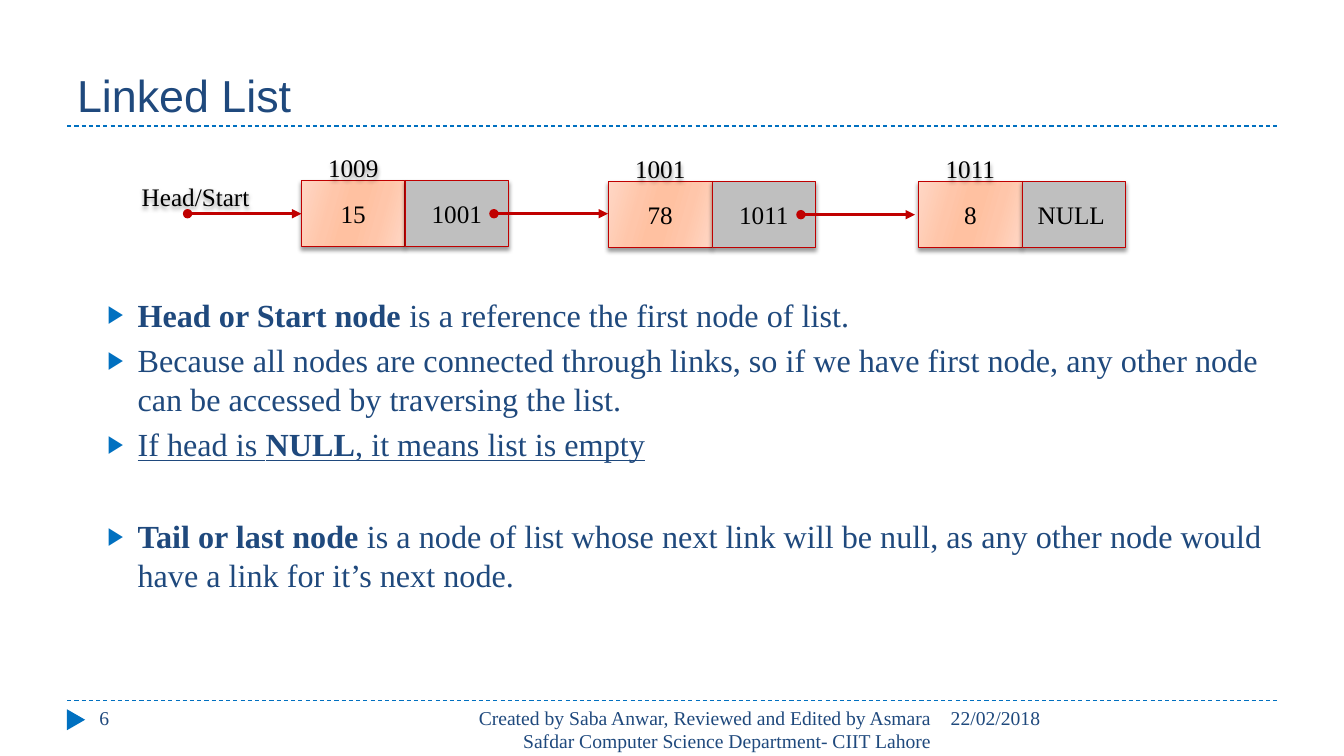
from pptx import Presentation
from pptx.dml.color import RGBColor
from pptx.enum import dml, shapes, text
from pptx.oxml import parse_xml
from pptx.oxml.ns import nsdecls, qn
from pptx.util import Pt

TITLE = "Linked List"
HEAD = "Head/Start"
NODES = [
    ("1009", "15", "1001", 215.3, 128.9),
    ("1001", "78", "1011", 434.6, 129.6),
    ("1011", "8", "NULL ", 656.1, 129.6),
]
BULLETS = [
    (0, [("Head or Start node ", "b"), ("is a reference the first node of list.", "")]),
    (5, [("Because all nodes are connected through links, so if we have first node, "
          "any other node can be accessed by traversing the list. ", "")]),
    (5, [("If head is ", "u"), ("NULL", "bu"), (", it means list is empty", "u")]),
    (38, [("Tail or last node ", "b"),
          ("is a node of list whose next link will be null, as any other node would "
           "have a link for it\u2019s next node.", "")]),
]
FOOTER = [
    ("22/02/2018", 672, 240, "l"),
    ("Created by Saba Anwar, Reviewed and Edited by Asmara Safdar "
     "Computer Science Department- CIIT Lahore", 304.5, 368, "r"),
    ("6", 64, 208, "l"),
]

THEME = dict(
    ink="1F497D", accent="0070C0", red="C00000", black="000000", grey="BFBFBF",
    peach=[(0, "FFD7C5"), (30, "FFC6AA"), (45, "FFC1A1"),
           (55, "FFC1A1"), (73, "FFC6AA"), (100, "FFD7C5")],
    head_font="Arial", font="Times New Roman",
    title=32, body=23, label=18, small=14, pitch=27.5,
)
ALIGN = dict(l=text.PP_ALIGN.LEFT, c=text.PP_ALIGN.CENTER, r=text.PP_ALIGN.RIGHT)
ANCHOR = dict(t=text.MSO_ANCHOR.TOP, m=text.MSO_ANCHOR.MIDDLE, b=text.MSO_ANCHOR.BOTTOM)
CELL_W, CELL_H, LABEL_H = 74, 47.5, 18
LEFT, RIGHT, FOOT_Y = 48, 912, 500.4

prs = Presentation()
prs.slide_width, prs.slide_height = Pt(960), Pt(540)
s = prs.slides.add_slide(prs.slide_layouts[6])


def rgb(name):
    return RGBColor.from_string(THEME[name])


def write(p, words, size="label", color="black", font="font", style=""):
    r = p.add_run()
    r.text = words
    r.font.name, r.font.size = THEME[font], Pt(THEME[size])
    r.font.color.rgb = rgb(color)
    r.font.bold, r.font.underline = "b" in style, "u" in style


def frame(sp, anchor="t", inset=(7.2, 3.6)):
    tf = sp.text_frame
    tf.word_wrap = True
    tf.vertical_anchor = ANCHOR[anchor]
    tf.margin_left = tf.margin_right = Pt(inset[0])
    tf.margin_top = tf.margin_bottom = Pt(inset[1])
    return tf


def box(x, y, w, h):
    return s.shapes.add_textbox(Pt(x), Pt(y), Pt(w), Pt(h))


def put(sp, words, align="l", anchor="t", inset=(7.2, 3.6), **fmt):
    p = frame(sp, anchor, inset).paragraphs[0]
    p.alignment = ALIGN[align]
    write(p, words, **fmt)


def shadow(sp):
    sp.shadow.inherit = False
    sp._element.spPr.find(qn("a:effectLst")).append(parse_xml(
        f'<a:outerShdw {nsdecls("a")} blurRad="38100" dist="25400" dir="5400000" rotWithShape="0">'
        '<a:srgbClr val="000000"><a:alpha val="40000"/></a:srgbClr></a:outerShdw>'))


def label(words, x, y, w, h):
    sp = box(x, y, w, h)
    put(sp, words, align="c", anchor="m", inset=(0, 0))
    shadow(sp)


def cell(words, x, y, peach):
    sp = s.shapes.add_shape(shapes.MSO_SHAPE.RECTANGLE, Pt(x), Pt(y), Pt(CELL_W), Pt(CELL_H))
    if peach:
        sp.fill.gradient()
        sp.fill.gradient_angle = 344
        grad = sp._element.spPr.find(qn("a:gradFill"))
        stops = "".join(f'<a:gs pos="{pos * 1000}"><a:srgbClr val="{c}"/></a:gs>'
                        for pos, c in THEME["peach"])
        grad.replace(grad.find(qn("a:gsLst")),
                     parse_xml(f'<a:gsLst {nsdecls("a")}>{stops}</a:gsLst>'))
    else:
        sp.fill.solid()
        sp.fill.fore_color.rgb = rgb("grey")
    sp.line.color.rgb, sp.line.width = rgb("red"), Pt(0.75)
    shadow(sp)
    put(sp, words, align="c", anchor="m")


def line(x1, x2, y, color, width, arrow=False):
    sp = s.shapes.add_connector(shapes.MSO_CONNECTOR.STRAIGHT, Pt(x1), Pt(y), Pt(x2), Pt(y))
    sp.line.color.rgb, sp.line.width = rgb(color), Pt(width)
    if arrow:
        ln = sp.line._get_or_add_ln()
        for tag, kind in (("headEnd", "oval"), ("tailEnd", "triangle")):
            ln.append(parse_xml(f'<a:{tag} {nsdecls("a")} type="{kind}"/>'))
    else:
        sp.line.dash_style = dml.MSO_LINE.DASH
    sp._element.spPr.append(parse_xml(f'<a:effectLst {nsdecls("a")}/>'))


def bullet(p):
    pPr = p._p.get_or_add_pPr()
    pPr.set("marL", str(Pt(43.2)))
    pPr.set("indent", str(Pt(-21.6)))
    for xml in (f'<a:buClr {{}}><a:srgbClr val="{THEME["accent"]}"/></a:buClr>',
                '<a:buSzPct {} val="76000"/>',
                '<a:buFont {} typeface="Arial"/>',
                '<a:buChar {} char="\u25b6"/>'):
        pPr.append(parse_xml(xml.format(nsdecls("a"))))


for y in (FOOT_Y, 90):
    line(LEFT, RIGHT, y, "accent", 0.75)
marker = s.shapes.add_shape(shapes.MSO_SHAPE.ISOSCELES_TRIANGLE,
                            Pt(46.8), Pt(507.6), Pt(15), Pt(13))
marker.rotation = 90
marker.fill.solid()
marker.fill.fore_color.rgb = rgb("accent")
marker.line.fill.background()
marker.shadow.inherit = False

put(box(LEFT, 12, RIGHT - LEFT, 78), TITLE, anchor="b",
    size="title", color="ink", font="head_font")
for words, x, w, align in FOOTER:
    put(box(x, FOOT_Y, w, 29), words, align=align, size="small", color="ink")

tf = frame(box(LEFT, 211, RIGHT - LEFT, 230), inset=(7.2, 0))
for i, (gap, runs) in enumerate(BULLETS):
    p = tf.add_paragraph() if i else tf.paragraphs[0]
    p.space_before, p.line_spacing = Pt(gap), Pt(THEME["pitch"])
    bullet(p)
    for words, style in runs:
        write(p, words, size="body", color="ink", style=style)

label(HEAD, 90.7, 130.3, 98, 19.5)
start = 134
for address, value, link, x, y in NODES:
    cell(value, x, y, True)
    cell(link, x + CELL_W, y, False)
    label(address, x, y - LABEL_H, CELL_W, LABEL_H)
for (_, _, _, x, y), source_y in zip(NODES, (NODES[0][4], NODES[0][4], NODES[1][4])):
    end = min(x, start + 81.5)
    line(start, end, source_y + CELL_H / 2, "red", 2.25, arrow=True)
    start = x + 2 * CELL_W - 10.5

prs.save("out.pptx")
